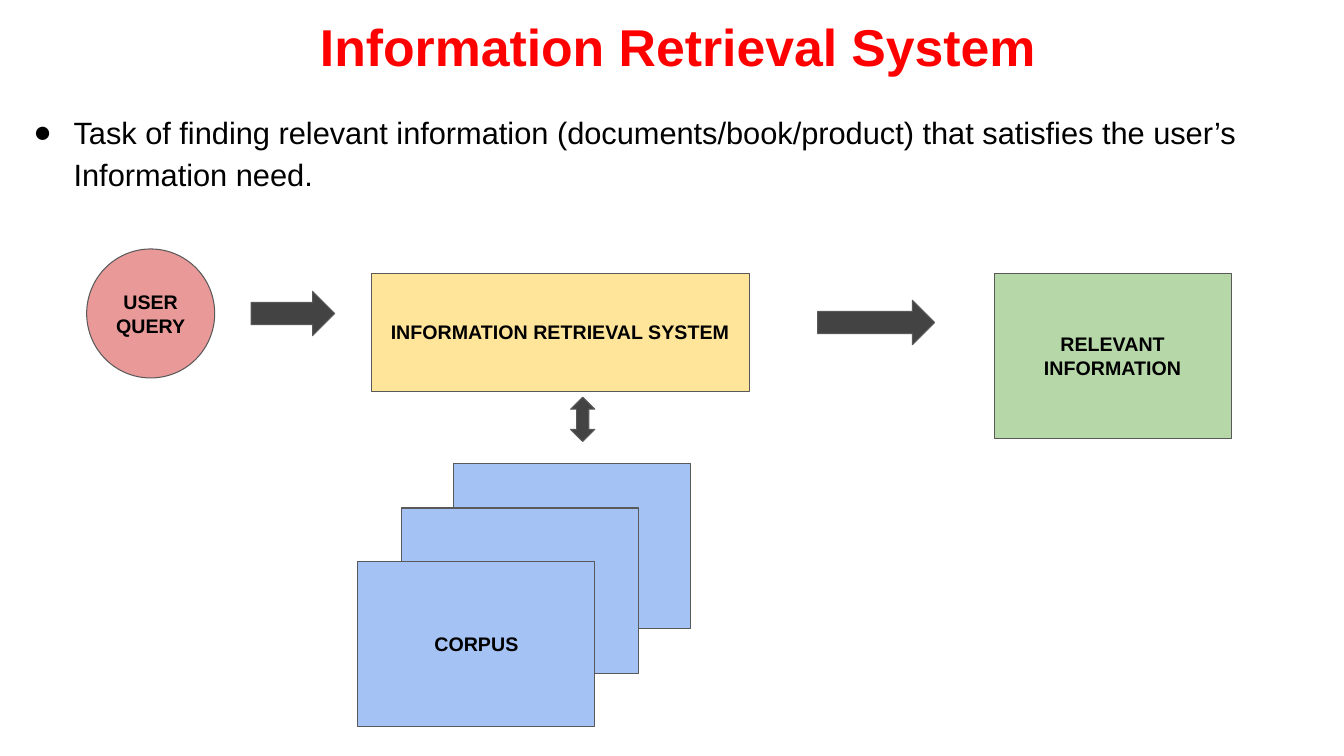
"""Build the Information Retrieval System overview slide."""
from lxml.etree import SubElement
from pptx import Presentation
from pptx.dml.color import RGBColor
from pptx.enum.shapes import MSO_SHAPE as Shape
from pptx.enum.text import MSO_ANCHOR as Anchor, MSO_AUTO_SIZE as AutoSize, PP_ALIGN as Align
from pptx.oxml.ns import qn
from pptx.util import Inches, Pt

COLORS = {
    "title": "FF0000", "text": "000000", "line": "595959", "arrow": "434343",
    "query": "EA9999", "system": "FFE599", "result": "B6D7A8", "corpus": "A4C2F4",
}
TITLE = "Information Retrieval System"
DEFINITION = ("Task of finding relevant information (documents/book/product) "
              "that satisfies the user’s Information need.")
CARD = (2.35, 1.64)
NODES = [
    (Shape.OVAL, "query", (0.86, 2.47, 1.27, 1.28), "USER QUERY"),
    (Shape.RECTANGLE, "system", (3.68, 2.71, 3.75, 1.17), "INFORMATION RETRIEVAL SYSTEM"),
    (Shape.RECTANGLE, "result", (9.86, 2.71, *CARD), "RELEVANT INFORMATION"),
    (Shape.RECTANGLE, "corpus", (4.5, 4.6, *CARD), ""),
    (Shape.RECTANGLE, "corpus", (3.98, 5.04, *CARD), ""),
    (Shape.RECTANGLE, "corpus", (3.55, 5.57, *CARD), "CORPUS"),
    (Shape.RIGHT_ARROW, "arrow", (2.49, 2.89, 0.83, 0.44), ""),
    (Shape.UP_DOWN_ARROW, "arrow", (5.66, 3.94, 0.24, 0.44), ""),
    (Shape.RIGHT_ARROW, "arrow", (8.11, 2.98, 1.16, 0.44), ""),
]


def color(name):
    """Return the named palette colour."""
    return RGBColor.from_string(COLORS[name])


def write(shape, text, *, size, ink="text", bold=False, align=Align.CENTER,
          anchor=Anchor.MIDDLE, spacing=1.0, bullet=None):
    """Fill a shape with one formatted paragraph."""
    frame = shape.text_frame
    frame.word_wrap = True
    frame.auto_size = AutoSize.NONE
    frame.vertical_anchor = anchor
    frame.margin_left = frame.margin_right = Inches(0.1)
    frame.margin_top = frame.margin_bottom = Inches(0.1)
    paragraph = frame.paragraphs[0]
    paragraph.alignment = align
    paragraph.line_spacing = spacing
    paragraph.space_before = Pt(0)
    if bullet:
        properties = paragraph._p.get_or_add_pPr()
        properties.set("marL", str(Inches(0.5)))
        properties.set("indent", str(Inches(-0.4)))
        bullet_color = SubElement(properties, qn("a:buClr"))
        SubElement(bullet_color, qn("a:srgbClr"), val=COLORS[ink])
        SubElement(properties, qn("a:buFont"), typeface="Arial")
        SubElement(properties, qn("a:buChar"), char=bullet)
    run = paragraph.add_run()
    run.text = text
    run.font.name = "Arial"
    run.font.size = Pt(size)
    run.font.bold = bold
    run.font.color.rgb = color(ink)


def place(shape, box):
    """Move and size a shape to a box in inches."""
    shape.left, shape.top, shape.width, shape.height = map(Inches, box)


def add_node(slide, kind, fill, box, label):
    """Add one diagram shape with its optional label."""
    shape = slide.shapes.add_shape(kind, *map(Inches, box))
    shape.shadow.inherit = False
    shape.fill.solid()
    shape.fill.fore_color.rgb = color(fill)
    shape.line.color.rgb = color("line")
    shape.line.width = Pt(0.75)
    if label:
        write(shape, label, size=14, bold=True)


def main():
    """Create and save the presentation."""
    presentation = Presentation()
    presentation.slide_width = Inches(13.33)
    presentation.slide_height = Inches(7.5)
    slide = presentation.slides.add_slide(presentation.slide_layouts[1])
    title, body = slide.placeholders
    place(title, (0.13, 0.17, 13.19, 0.7))
    write(title, TITLE, size=37, ink="title", bold=True, anchor=Anchor.TOP, spacing=0.8)
    place(body, (0.13, 0.97, 13.19, 1))
    write(body, DEFINITION, size=22, align=Align.LEFT, anchor=Anchor.TOP,
          spacing=1.15, bullet="●")
    for node in NODES:
        add_node(slide, *node)
    presentation.save("out.pptx")


if __name__ == "__main__":
    main()
